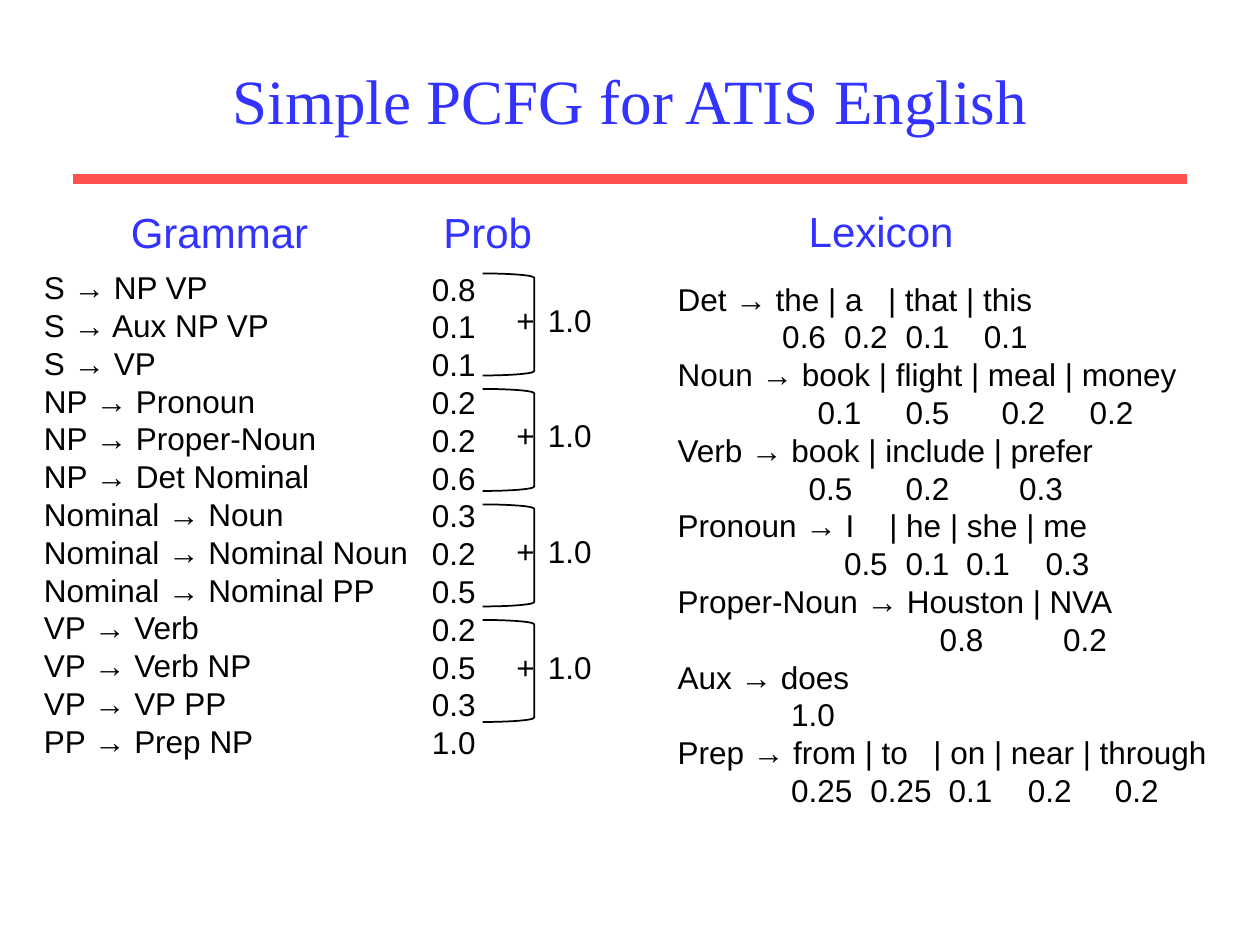
from lxml import etree
from pptx import Presentation
from pptx.dml.color import RGBColor
from pptx.enum.shapes import MSO_CONNECTOR, MSO_SHAPE
from pptx.enum.text import MSO_ANCHOR, PP_ALIGN
from pptx.oxml.ns import qn
from pptx.util import Inches, Pt

STRAIGHT = MSO_CONNECTOR.STRAIGHT
BRACKET = MSO_SHAPE.RIGHT_BRACKET
TOP, MIDDLE = MSO_ANCHOR.TOP, MSO_ANCHOR.MIDDLE
LEFT, CENTER = PP_ALIGN.LEFT, PP_ALIGN.CENTER
BLUE = RGBColor(0x33, 0x33, 0xFF)
RED = RGBColor(0xFF, 0x50, 0x50)
BLACK = RGBColor(0x00, 0x00, 0x00)

prs = Presentation()
prs.slide_width, prs.slide_height = Inches(10), Inches(7.5)
s = prs.slides.add_slide(prs.slide_layouts[6])


def add_text(lines, x, y, w, h, size=18, color=BLACK, font="Arial",
             align=LEFT, anchor=TOP, tabs=None):
    """Add a text box; tabs holds a list of tab stops in inches per line."""
    tf = s.shapes.add_textbox(Inches(x), Inches(y), Inches(w), Inches(h)).text_frame
    tf.word_wrap = True
    tf.vertical_anchor = anchor
    for i, line in enumerate(lines):
        p = tf.paragraphs[0] if i == 0 else tf.add_paragraph()
        p.alignment = align
        if tabs and tabs[i]:
            tab_list = etree.SubElement(p._p.get_or_add_pPr(), qn("a:tabLst"))
            for stop in tabs[i]:
                etree.SubElement(tab_list, qn("a:tab"), pos=str(Inches(stop)), algn="l")
        r = p.add_run()
        r.text = line
        r.font.name, r.font.size = font, Pt(size)
        r.font.color.rgb = color


# Title and rule
rule = s.shapes.add_connector(STRAIGHT, Inches(0.58), Inches(1.42), Inches(9.42), Inches(1.42))
rule.line.color.rgb = RED
rule.line.width = Pt(6)
etree.SubElement(rule._element.spPr, qn("a:effectLst"))
add_text(["Simple PCFG for ATIS English"], 0.75, 0.25, 8.5, 1.08, size=36, color=BLUE,
         font="Times New Roman", align=CENTER, anchor=MIDDLE)

# Column headings
for heading, x, y, w in [("Grammar", 0.94, 1.59, 1.7), ("Prob", 3.42, 1.59, 1),
                         ("Lexicon", 6.32, 1.58, 1.45)]:
    add_text([heading], x, y, w, 0.5, size=24, color=BLUE)

# Grammar rules and their probabilities
grammar = [
    ("S → NP VP", "0.8"),
    ("S → Aux NP VP", "0.1"),
    ("S → VP", "0.1"),
    ("NP → Pronoun", "0.2"),
    ("NP → Proper-Noun", "0.2"),
    ("NP → Det Nominal", "0.6"),
    ("Nominal → Noun", "0.3"),
    ("Nominal → Nominal Noun", "0.2"),
    ("Nominal → Nominal PP", "0.5"),
    ("VP → Verb", "0.2"),
    ("VP → Verb NP", "0.5"),
    ("VP → VP PP", "0.3"),
    ("PP → Prep NP", "1.0"),
]
add_text([rule_text for rule_text, _ in grammar], 0.25, 2.08, 3.16, 4)
add_text([prob for _, prob in grammar], 3.33, 2.09, 0.58, 4)

# Brackets summing each group of three rules
for i in range(4):
    y = 2.17 + i * 2.75 / 3
    bracket = s.shapes.add_shape(BRACKET, Inches(3.83), Inches(y), Inches(0.41), Inches(0.81))
    bracket.shadow.inherit = False
    bracket.fill.background()
    bracket.line.color.rgb = BLACK
    bracket.line.width = Pt(1)
    add_text(["+"], 4, y + 0.17, 0.42, 0.4)
    add_text(["1.0"], 4.25, y + 0.17, 0.58, 0.4)

# Lexicon: words (with tab stops), then probabilities at their tab stops
lexicon = [
    ("Det → the | a\t| that | this", [1.67],
     {0.83: "0.6", 1.32: "0.2", 1.81: "0.1", 2.43: "0.1"}),
    ("Noun → book | flight | meal | money", [],
     {1.11: "0.1", 1.81: "0.5", 2.57: "0.2", 3.27: "0.2"}),
    ("Verb → book | include | prefer", [],
     {1.04: "0.5", 1.81: "0.2", 2.71: "0.3"}),
    ("Pronoun → I\t| he | she | me", [1.68],
     {1.32: "0.5", 1.81: "0.1", 2.29: "0.1", 2.92: "0.3"}),
    ("Proper-Noun → Houston | NVA", [], {2.08: "0.8", 3.06: "0.2"}),
    ("Aux → does", [], {0.9: "1.0"}),
    ("Prep → from | to\t| on | near | through", [2.03],
     {0.9: "0.25", 1.53: "0.25", 2.15: "0.1", 2.78: "0.2", 3.47: "0.2"}),
]
lines, tabs = [], []
for words, word_tabs, probs in lexicon:
    lines += [words, "\t" + "\t".join(probs.values())]
    tabs += [word_tabs, list(probs)]
add_text(lines, 5.28, 2.17, 4.72, 4.3, tabs=tabs)

prs.save("out.pptx")
